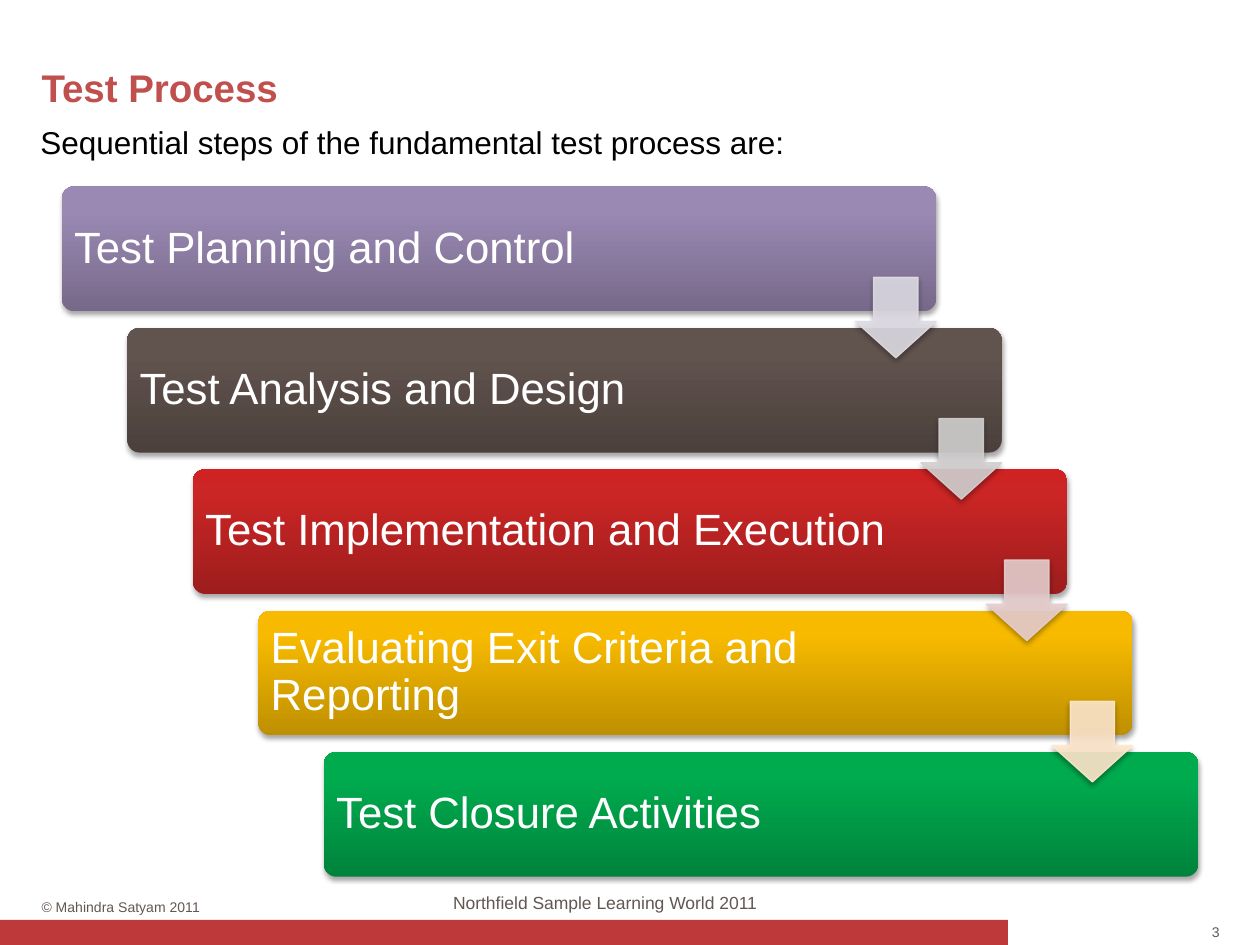
from dataclasses import dataclass
from typing import NamedTuple

from lxml.etree import SubElement
from pptx import Presentation
from pptx.dml.color import RGBColor
from pptx.enum.shapes import MSO_SHAPE as Shape
from pptx.enum.text import MSO_ANCHOR as Anchor, PP_ALIGN as Align
from pptx.oxml.ns import qn
from pptx.util import Inches, Pt

SLIDE_W, SLIDE_H = Inches(10), Inches(7.5)
COL, ROW = SLIDE_W / 100, SLIDE_H / 75
FONT = "Arial"
GREY, WHITE = "625753", "FFFFFF"


class Box(NamedTuple):
    left: float
    top: float
    width: float
    height: float

    def emu(self) -> tuple:
        return (round(self.left * COL), round(self.top * ROW),
                round(self.width * COL), round(self.height * ROW))


@dataclass
class Label:
    text: str
    box: Box
    size: float
    color: str
    bold: bool = False
    align: Align = Align.LEFT
    anchor: Anchor = Anchor.TOP
    inset: float = 0


@dataclass
class Step:
    text: str
    dark: str
    middle: str
    light: str
    arrow: str = ""
    text_width: float = 57.8


LABELS = [
    Label("3", Box(95.4, 73.3, 1.4, 1.3), 8, GREY, align=Align.RIGHT, anchor=Anchor.MIDDLE),
    Label("© Mahindra Satyam 2011", Box(3.3, 71.3, 15.4, 1.3), 8, GREY),
    Label("Northfield Sample Learning World 2011", Box(26.4, 70.8, 43.2, 1.7), 10, GREY,
          align=Align.CENTER),
    Label("Test Process", Box(3.3, 5.1, 93.4, 3.7), 22, "C0504D", bold=True),
    Label("Sequential steps of the fundamental test process are:",
          Box(3.2, 9.8, 93.4, 3), 18, "000000"),
]

STEPS = [
    Step("Test Planning and Control", "77698A", "9A89B3", "9B88B5", "DFDCE5", 58.2),
    Step("Test Analysis and Design", "4B403C", "61534E", "62534E", "D3D1D1"),
    Step("Test Implementation and Execution", "9D1D1D", "CB2525", "CF2222", "E8CECE"),
    Step("Evaluating Exit Criteria and Reporting", "BE8F00", "F7BA00", "F8BB00", "FFE8CC"),
    Step("Test Closure Activities", "00833C", "00AB4E", "00AB4E"),
]

FIRST_CARD = Box(4.9, 14.8, 69.4, 9.9)
STEP_X, STEP_Y = 5.2, 11.22
ARROW_DX, ARROW_DY, ARROW_SIZE = 63, 7.2, 6.4


def rgb(color: str) -> RGBColor:
    return RGBColor.from_string(color)


def add_label(slide, label: Label):
    s = slide.shapes.add_textbox(*label.box.emu())
    tf = s.text_frame
    tf.word_wrap = True
    tf.vertical_anchor = label.anchor
    tf.margin_left = tf.margin_right = round(label.inset * COL)
    tf.margin_top = tf.margin_bottom = round(label.inset * ROW)
    tf.text = label.text
    p = tf.paragraphs[0]
    p.alignment = label.align
    font = p.runs[0].font
    font.name, font.size, font.bold = FONT, Pt(label.size), label.bold
    font.color.rgb = rgb(label.color)
    return s


def add_panel(slide, kind: Shape, box: Box, adjustments: tuple = ()):
    s = slide.shapes.add_shape(kind, *box.emu())
    for i, value in enumerate(adjustments):
        s.adjustments[i] = value
    s.line.fill.background()
    s.shadow.inherit = False
    return s


def add_shadow(s) -> None:
    effects = s._element.spPr.find(qn("a:effectLst"))
    shadow = SubElement(effects, qn("a:outerShdw"), blurRad=str(Pt(3.1)), dist=str(Pt(1.8)),
                        dir="5400000", rotWithShape="0")
    color = SubElement(shadow, qn("a:srgbClr"), val="000000")
    SubElement(color, qn("a:alpha"), val="35000")


def set_gradient(s, stops: list) -> None:
    s.fill.gradient()
    s.fill.gradient_angle = 90
    gs_list = s._element.spPr.find(qn("a:gradFill")).find(qn("a:gsLst"))
    for gs in list(gs_list):
        gs_list.remove(gs)
    for share, color in stops:
        gs = SubElement(gs_list, qn("a:gs"), pos=str(share * 1000))
        SubElement(gs, qn("a:srgbClr"), val=color)


def add_card(slide, index: int, step: Step) -> None:
    box = FIRST_CARD._replace(left=FIRST_CARD.left + index * STEP_X,
                              top=FIRST_CARD.top + index * STEP_Y)
    s = add_panel(slide, Shape.ROUNDED_RECTANGLE, box, (0.1,))
    set_gradient(s, [(0, step.dark), (80, step.middle), (100, step.light)])
    add_shadow(s)
    text = add_label(slide, Label(step.text, box._replace(width=step.text_width), 25, WHITE,
                                  anchor=Anchor.MIDDLE, inset=1))
    text.text_frame.paragraphs[0].line_spacing = 0.9


def add_arrow(slide, index: int, step: Step) -> None:
    box = Box(FIRST_CARD.left + ARROW_DX + index * STEP_X,
              FIRST_CARD.top + ARROW_DY + index * STEP_Y, ARROW_SIZE, ARROW_SIZE)
    s = add_panel(slide, Shape.DOWN_ARROW, box, (0.55, 0.45))
    s.fill.solid()
    s.fill.fore_color.rgb = rgb(step.arrow)
    s.line.color.rgb = rgb(step.arrow)
    s.line.width = Pt(0.75)
    for color in list(s._element.spPr.iter(qn("a:srgbClr"))):
        SubElement(color, qn("a:alpha"), val="90000")
    add_shadow(s)


def main() -> None:
    prs = Presentation()
    prs.slide_width, prs.slide_height = SLIDE_W, SLIDE_H
    slide = prs.slides.add_slide(prs.slide_layouts[6])
    bar = add_panel(slide, Shape.RECTANGLE, Box(0, 73, 80, 2))
    bar.fill.solid()
    bar.fill.fore_color.rgb = rgb("BE3A3A")
    for label in LABELS:
        add_label(slide, label)
    for i, step in enumerate(STEPS):
        add_card(slide, i, step)
    for i, step in enumerate(STEPS[:-1]):
        add_arrow(slide, i, step)
    prs.save("out.pptx")


if __name__ == "__main__":
    main()
